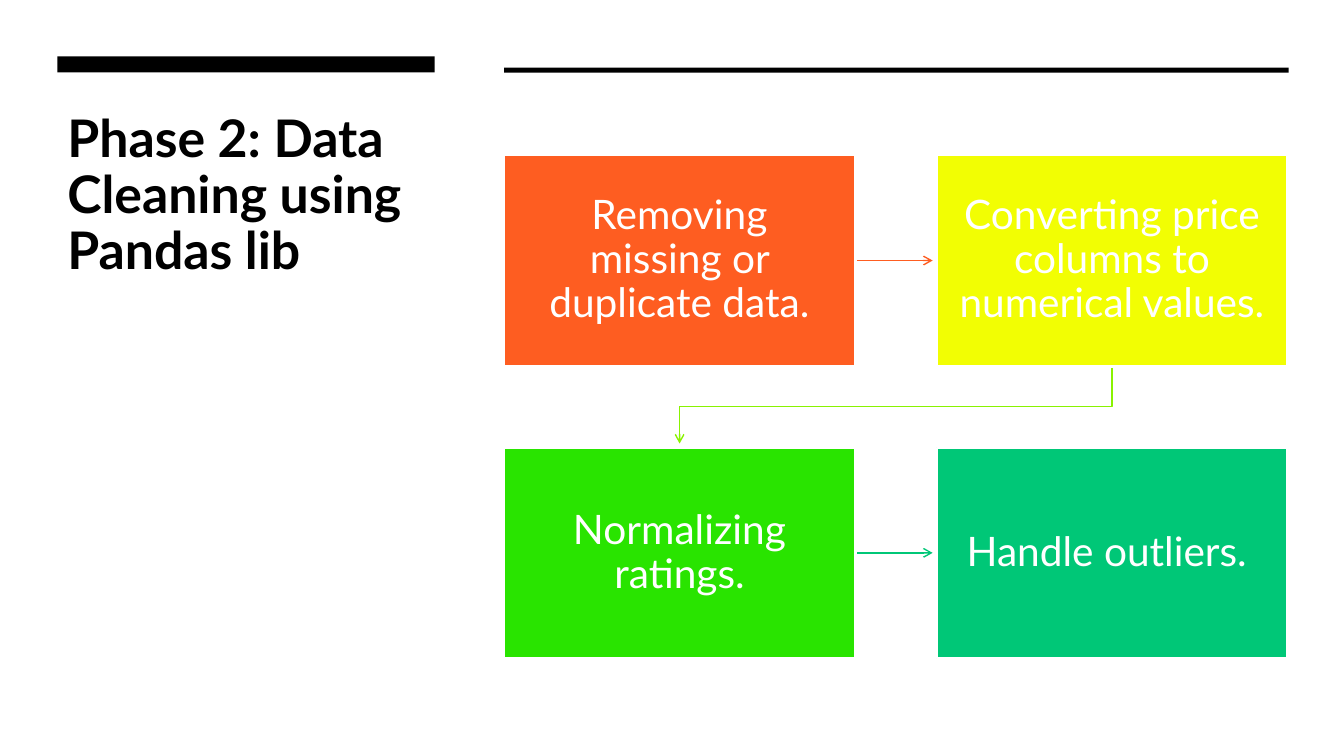
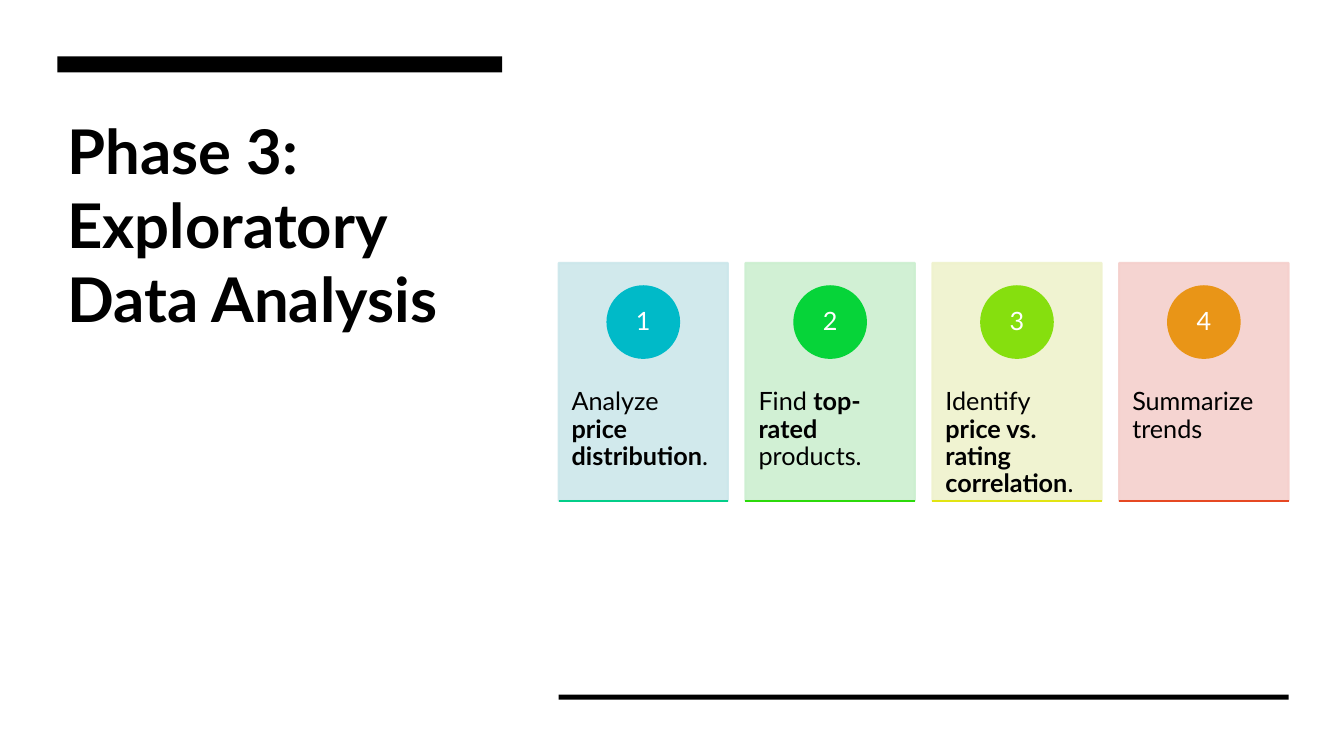
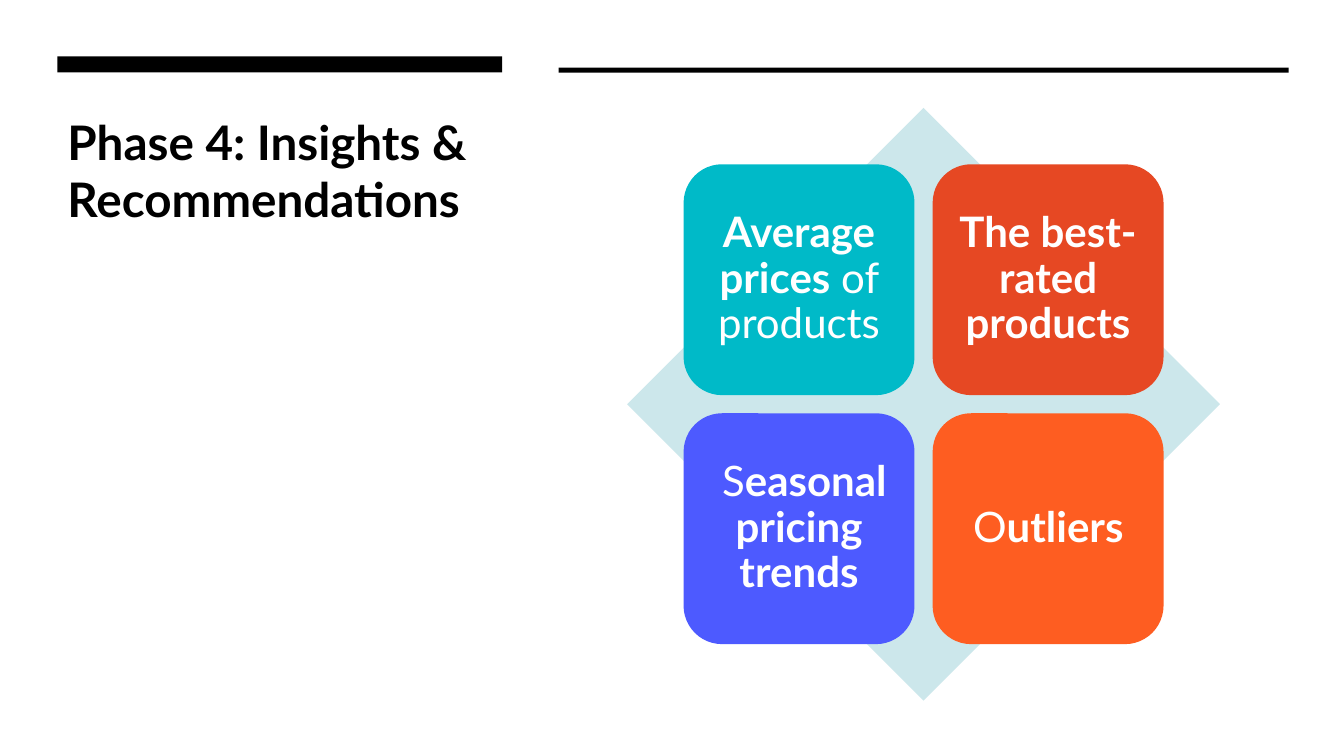
from dataclasses import dataclass

from lxml import etree
from pptx import Presentation
from pptx.dml.color import RGBColor
from pptx.enum import shapes, text
from pptx.oxml import ns
from pptx.util import Inches, Pt


@dataclass(frozen=True)
class Theme:
    font: str = "Lato"
    black: str = "000000"
    white: str = "FFFFFF"
    orange: str = "FE5D21"
    yellow: str = "F2FE03"
    lime: str = "89F201"
    green: str = "29E400"
    emerald: str = "00C777"
    teal: str = "00BAC8"
    red: str = "E64823"
    blue: str = "4D5AFF"
    pale_teal: str = "CCE7EB"
    step_size: int = 29
    card_size: int = 18
    tile_size: int = 30
    left: float = 0.57
    right: float = 12.78


T = Theme()
MSO = shapes.MSO_SHAPE
LEFT, CENTER = text.PP_ALIGN.LEFT, text.PP_ALIGN.CENTER
TOP, MIDDLE = text.MSO_ANCHOR.TOP, text.MSO_ANCHOR.MIDDLE


def rgb(color):
    return RGBColor.from_string(color)


def add_child(parent, tag, **attrs):
    return etree.SubElement(parent, ns.qn(tag), **attrs)


def write(sp, content, size, color, align=CENTER, anchor=MIDDLE, insets=(0.1, 0.05), spacing=0.9):
    tf = sp.text_frame
    tf.word_wrap = True
    tf.vertical_anchor = anchor
    tf.margin_left = tf.margin_right = Inches(insets[0])
    tf.margin_top = tf.margin_bottom = Inches(insets[1])
    p = tf.paragraphs[0]
    p.alignment = align
    p.line_spacing = spacing
    for i, part in enumerate(content.split("**")):
        if part:
            r = p.add_run()
            r.text = part
            r.font.name = T.font
            r.font.size = Pt(size)
            r.font.bold = i % 2 == 1
            r.font.color.rgb = rgb(color)


def add_box(slide, kind, x, y, w, h, fill, line=None, alpha=None):
    sp = slide.shapes.add_shape(kind, Inches(x), Inches(y), Inches(w), Inches(h))
    sp.shadow.inherit = False
    sp.fill.solid()
    sp.fill.fore_color.rgb = rgb(fill)
    if line:
        sp.line.color.rgb = rgb(line)
        sp.line.width = Pt(1.5)
    else:
        sp.line.fill.background()
    if alpha:
        for clr in sp.element.spPr.iter(ns.qn("a:srgbClr")):
            add_child(clr, "a:alpha", val=str(alpha * 1000))
    return sp


def add_line(slide, start, end, color, width):
    x1, y1, x2, y2 = (Inches(v) for v in (*start, *end))
    line = slide.shapes.add_connector(shapes.MSO_CONNECTOR.STRAIGHT, x1, y1, x2, y2)
    line.line.color.rgb = rgb(color)
    line.line.width = Pt(width)
    add_child(line.element.spPr, "a:effectLst")
    return line


def add_arrowhead(sp):
    add_child(sp.line._get_or_add_ln(), "a:tailEnd", type="arrow")


def add_bent_arrow(slide, points, color):
    corners = [(Inches(x), Inches(y)) for x, y in points]
    builder = slide.shapes.build_freeform(*corners[0])
    builder.add_line_segments(corners[1:], close=False)
    sp = builder.convert_to_shape()
    sp.shadow.inherit = False
    sp.fill.background()
    sp.line.color.rgb = rgb(color)
    sp.line.width = Pt(1)
    add_arrowhead(sp)


def add_phase(prs, title, size, title_w, bar_w, rule_x, rule_y, spacing=1.0):
    slide = prs.slides.add_slide(prs.slide_layouts[6])
    box = slide.shapes.add_textbox(Inches(T.left), Inches(1.07), Inches(title_w), Inches(1.94))
    write(box, f"**{title}**", size, T.black, LEFT, TOP, spacing=spacing)
    add_box(slide, MSO.RECTANGLE, T.left, 0.56, bar_w, 0.16, T.black)
    add_box(slide, MSO.RECTANGLE, rule_x, rule_y, T.right - rule_x, 0.05, T.black)
    return slide


def build_cleaning(prs):
    slide = add_phase(prs, "Phase 2: Data Cleaning using Pandas lib", 37, 3.85, 3.74, 5, 0.67, 0.9)
    x, y, w, h, dx, dy = 5, 1.54, 3.48, 2.09, 4.29, 2.9
    steps = [
        ("Removing missing or duplicate data.", T.orange),
        ("Converting price columns to numerical values.", T.yellow),
        ("Normalizing ratings.", T.green),
        ("Handle outliers. ", T.emerald),
    ]
    for i, (label, fill) in enumerate(steps):
        row, col = divmod(i, 2)
        sp = add_box(slide, MSO.RECTANGLE, x + col * dx, y + row * dy, w, h, fill, T.white)
        write(sp, label, T.step_size, T.white, insets=(0.17, 0.18))
    for row, color in enumerate((T.orange, T.emerald)):
        mid = y + row * dy + h / 2
        add_arrowhead(add_line(slide, (x + w + 0.02, mid), (x + dx - 0.04, mid), color, 1))
    start, end = x + dx + w / 2, x + w / 2
    bottom, turn = y + h + 0.02, y + (h + dy) / 2
    bend = [(start, bottom), (start, turn), (end, turn), (end, y + dy - 0.04)]
    add_bent_arrow(slide, bend, T.lime)


def build_exploration(prs):
    x, y, w, h = 5.54, 2.61, 1.68, 2.36
    slide = add_phase(prs, "Phase 3: Exploratory Data Analysis", 44, 4.41, 4.41, x, 6.89)
    cards = [
        ("Analyze **price distribution**.", T.pale_teal, T.teal, "03CE89"),
        ("Find **top-rated** products.", "CCEFD0", "06D439", "2CDA0A"),
        ("Identify **price vs. rating correlation**.", "EFF2CD", "86DF0E", "E2E412"),
        ("Summarize trends", "F5D0CD", "E99517", T.red),
    ]
    step = (T.right - x - w) / (len(cards) - 1)
    badge = 0.71
    for i, (label, fill, accent, edge) in enumerate(cards):
        left = x + i * step
        panel = add_box(slide, MSO.RECTANGLE, left, y, w, h, fill, fill, 90)
        write(panel, label, T.card_size, T.black, LEFT, TOP, (0.13, 0))
        panel.text_frame.margin_top = Inches(1.25)
        circle = add_box(slide, MSO.OVAL, left + (w - badge) / 2, 2.84, badge, badge, accent, accent)
        write(circle, str(i + 1), T.card_size, T.white, insets=(0.06, 0.01))
        add_line(slide, (left, y + h), (left + w, y + h), edge, 1.5)


def build_insights(prs):
    slide = add_phase(prs, "Phase 4: Insights & Recommendations", 34, 4.41, 4.41, 5.54, 0.67)
    add_box(slide, MSO.DIAMOND, 6.22, 1.07, 5.88, 5.88, T.pale_teal)
    side, step = 2.29, 2.47
    tiles = [
        ("**Average prices** of products", T.teal),
        ("**The best-rated products**", T.red),
        (" S**easonal pricing trends**", T.blue),
        (" O**utliers **", T.orange),
    ]
    for i, (label, fill) in enumerate(tiles):
        row, col = divmod(i, 2)
        sp = add_box(slide, MSO.ROUNDED_RECTANGLE, 6.78 + col * step, 1.63 + row * step, side, side, fill)
        write(sp, label, T.tile_size, T.white, insets=(0.12, 0.12))


def main():
    prs = Presentation()
    prs.slide_width, prs.slide_height = Inches(13.33), Inches(7.5)
    build_cleaning(prs)
    build_exploration(prs)
    build_insights(prs)
    prs.save("out.pptx")


if __name__ == "__main__":
    main()
